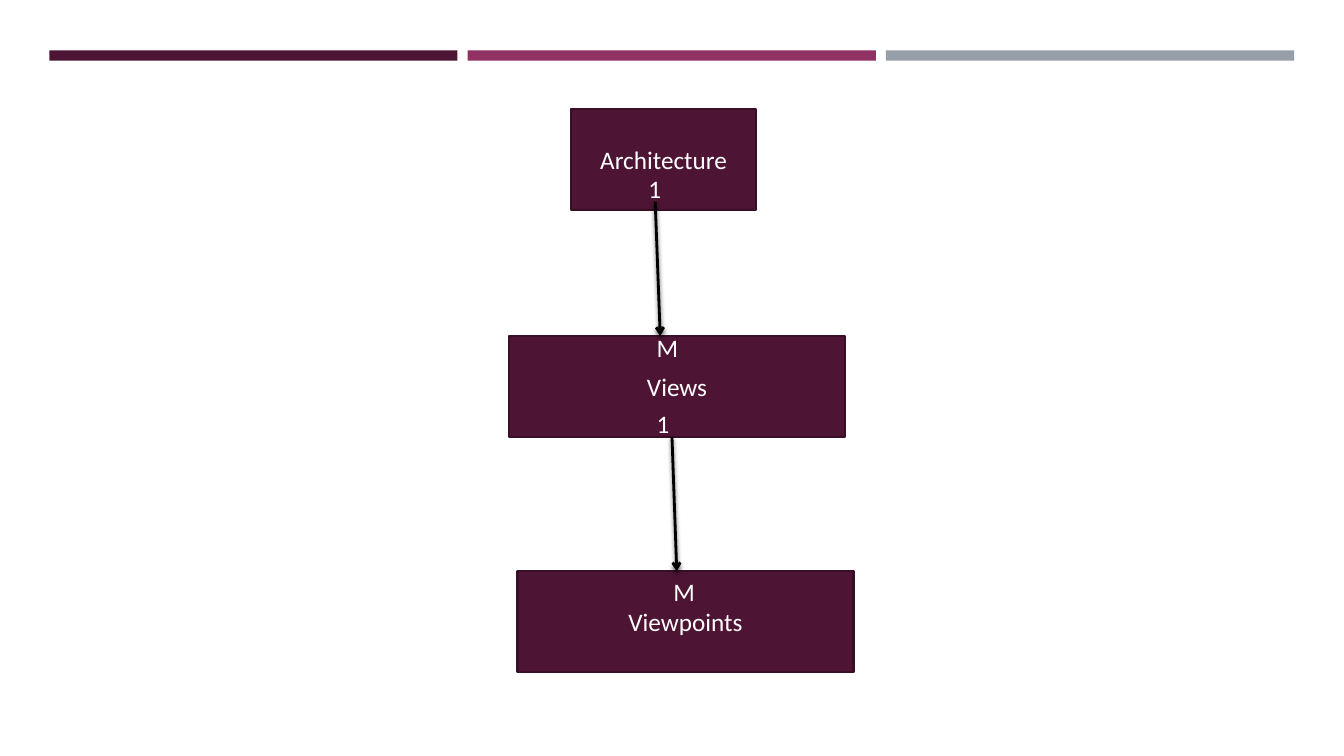
from dataclasses import dataclass

from lxml import etree
from pptx import Presentation
from pptx.dml.color import RGBColor
from pptx.enum.shapes import MSO_CONNECTOR, MSO_SHAPE
from pptx.enum.text import MSO_ANCHOR, MSO_AUTO_SIZE, PP_ALIGN
from pptx.oxml.ns import qn
from pptx.util import Pt

RECTANGLE = MSO_SHAPE.RECTANGLE
STRAIGHT = MSO_CONNECTOR.STRAIGHT
LEFT, CENTER = PP_ALIGN.LEFT, PP_ALIGN.CENTER
MIDDLE = MSO_ANCHOR.MIDDLE
GROW = MSO_AUTO_SIZE.SHAPE_TO_FIT_TEXT
BLANK_LAYOUT = 6


@dataclass(frozen=True)
class Theme:
    plum: str = "4D1434"
    plum_edge: str = "390F26"
    magenta: str = "903163"
    grey: str = "969FA7"
    text: str = "FFFFFF"
    arrow: str = "000000"
    font: str = "Calibri"
    size: float = 18
    edge_width: float = 1.75
    arrow_width: float = 2


THEME = Theme()

# Left, top, width and name of each entity; all share one height
BOX_HEIGHT = 72
BOXES = [
    (408, 78, 132, "Architecture"),
    (363.6, 240, 240, "Views"),
    (369.6, 408, 240, "Viewpoints"),
]
# Start and end points of each relation
ARROWS = [
    ((468, 144), (471.6, 240)),
    ((480, 312), (483.4, 408)),
]
# Left, top, width and multiplicity at each relation end
LABELS = [
    (456, 120, 24, "1"),
    (462, 234, 30, "M"),
    (462, 288, 24, "1"),
    (474, 408, 30, "M"),
]


def write_text(frame, text, align=LEFT, size=THEME.size, color=THEME.text):
    paragraph = frame.paragraphs[0]
    paragraph.alignment = align
    run = paragraph.add_run()
    run.text = text
    run.font.name = THEME.font
    run.font.size = Pt(size)
    run.font.color.rgb = RGBColor.from_string(color)


def add_rectangle(slide, left, top, width, height, fill, edge=None):
    shape = slide.shapes.add_shape(
        RECTANGLE, Pt(left), Pt(top), Pt(width), Pt(height))
    shape.shadow.inherit = False
    shape.fill.solid()
    shape.fill.fore_color.rgb = RGBColor.from_string(fill)
    if edge:
        shape.line.color.rgb = RGBColor.from_string(edge)
        shape.line.width = Pt(THEME.edge_width)
    else:
        shape.line.fill.background()
    return shape


def add_header_bars(slide):
    width, gap = 291.6, 7.2
    for index, color in enumerate((THEME.plum, THEME.magenta, THEME.grey)):
        add_rectangle(slide, 35.2 + index * (width + gap), 36, width, 7.4, color)


def add_entity(slide, left, top, width, name):
    shape = add_rectangle(
        slide, left, top, width, BOX_HEIGHT, THEME.plum, THEME.plum_edge)
    shape.text_frame.vertical_anchor = MIDDLE
    write_text(shape.text_frame, name, align=CENTER)


def add_arrow(slide, start, end):
    connector = slide.shapes.add_connector(
        STRAIGHT, *(Pt(value) for value in start + end))
    connector.line.color.rgb = RGBColor.from_string(THEME.arrow)
    connector.line.width = Pt(THEME.arrow_width)
    properties = connector.line._get_or_add_ln()
    etree.SubElement(properties, qn("a:tailEnd"), type="arrow")
    # Soft shadow straight below the line
    effects = etree.SubElement(connector._element.spPr, qn("a:effectLst"))
    shadow = etree.SubElement(
        effects, qn("a:outerShdw"), blurRad=str(Pt(3)), dist=str(Pt(2)),
        dir="5400000", rotWithShape="0")
    color = etree.SubElement(shadow, qn("a:srgbClr"), val=THEME.arrow)
    etree.SubElement(color, qn("a:alpha"), val="55000")


def add_label(slide, left, top, width, text):
    box = slide.shapes.add_textbox(Pt(left), Pt(top), Pt(width), Pt(29))
    box.text_frame.word_wrap = False
    box.text_frame.auto_size = GROW
    write_text(box.text_frame, text)


def main():
    presentation = Presentation()
    presentation.slide_width = Pt(960)
    presentation.slide_height = Pt(540)
    slide = presentation.slides.add_slide(
        presentation.slide_layouts[BLANK_LAYOUT])

    add_header_bars(slide)
    # Entities, then relations, then multiplicities on top
    for box in BOXES:
        add_entity(slide, *box)
    for start, end in ARROWS:
        add_arrow(slide, start, end)
    for label in LABELS:
        add_label(slide, *label)

    presentation.save("out.pptx")


main()
